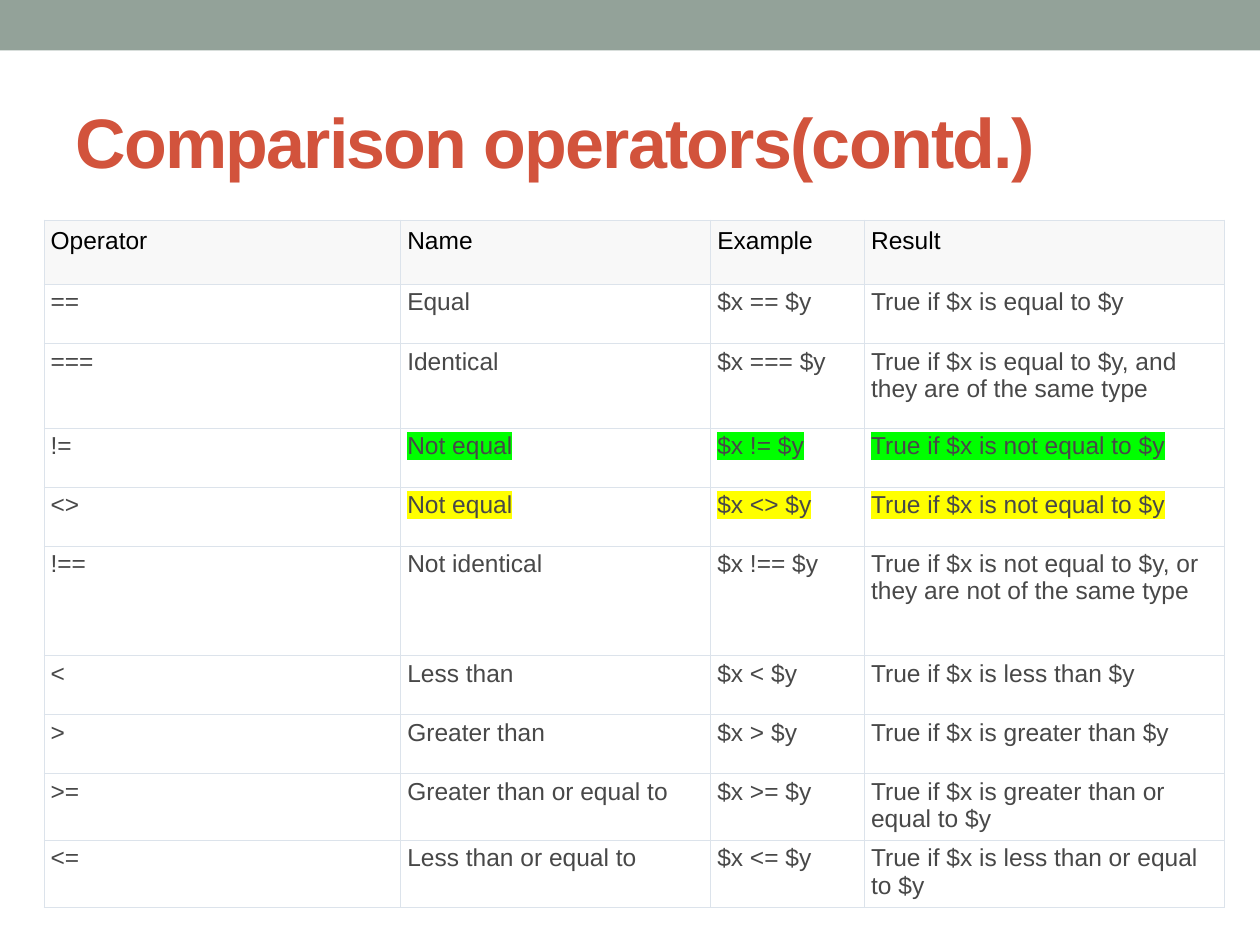
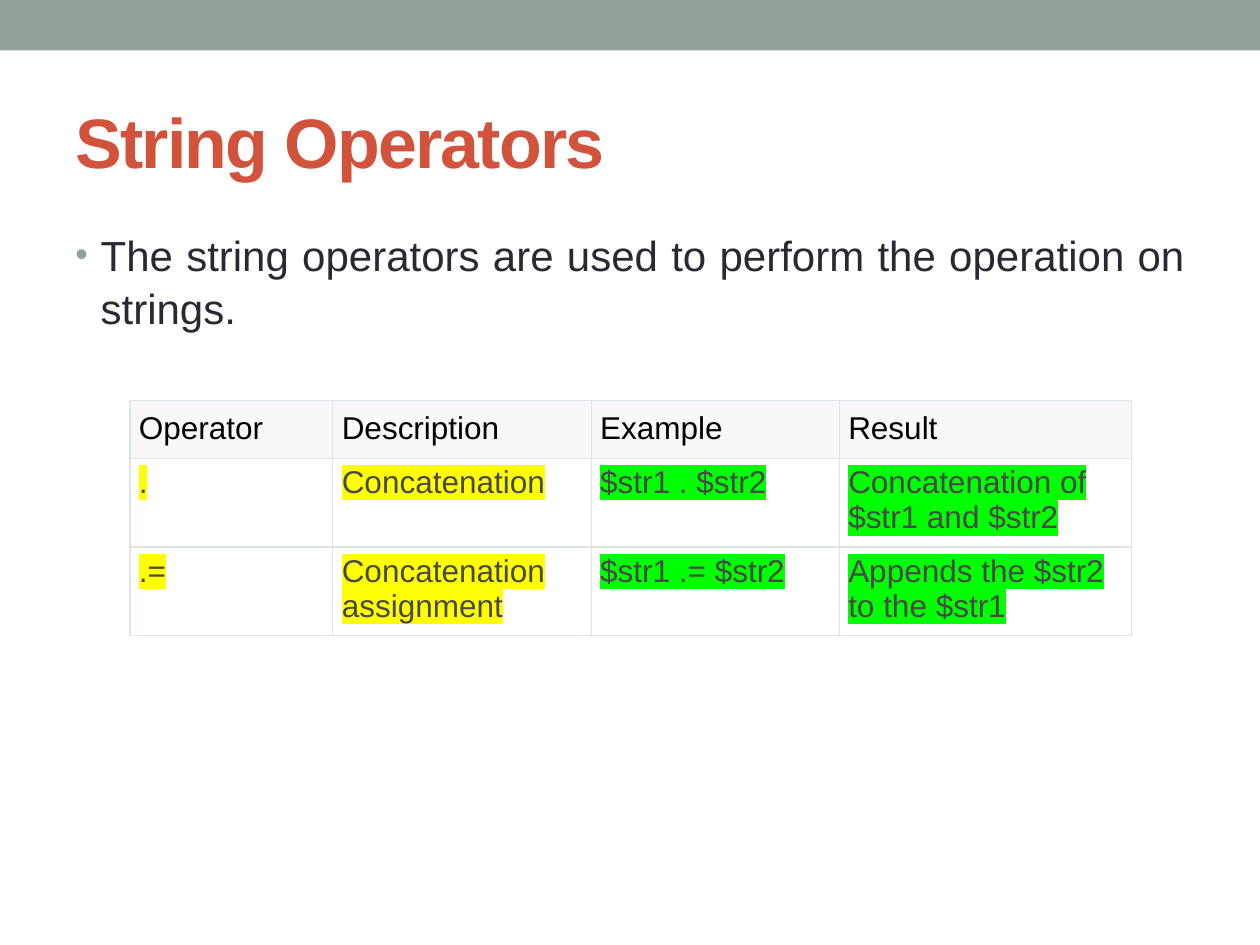
from lxml.etree import SubElement
from pptx import Presentation
from pptx.dml.color import RGBColor
from pptx.enum.shapes import MSO_SHAPE as Shape
from pptx.enum.text import MSO_ANCHOR as Anchor, PP_ALIGN as Align
from pptx.oxml import parse_xml
from pptx.oxml.ns import nsdecls, qn
from pptx.util import Cm, Pt

FONT = "Arial"
SAGE = RGBColor(0x93, 0xA2, 0x99)
RUST = RGBColor(0xD2, 0x53, 0x3C)
INK = RGBColor(0x29, 0x29, 0x34)
BLACK = RGBColor(0x00, 0x00, 0x00)
GREY = RGBColor(0x48, 0x48, 0x48)
WHITE = RGBColor(0xFF, 0xFF, 0xFF)
HEADER_FILL = RGBColor(0xF8, 0xF8, 0xF8)
BORDER = RGBColor(0xDC, 0xE3, 0xEB)
GREEN = RGBColor(0x00, 0xFF, 0x00)
YELLOW = RGBColor(0xFF, 0xFF, 0x00)


def write(frame, text, size, color, bold=False, spacing=None, highlight=None,
          align=None, line_spacing=None):
    """Put formatted text in the first paragraph of a frame and return it."""
    paragraph = frame.paragraphs[0]
    paragraph.alignment = align
    paragraph.line_spacing = line_spacing
    run = paragraph.add_run()
    run.text = text
    run.font.name, run.font.size, run.font.bold = FONT, Pt(size), bold
    run.font.color.rgb = color
    properties = run.font._element
    if spacing is not None:
        properties.set("spc", str(round(spacing * 100)))
    if highlight is not None:
        properties.find(qn("a:solidFill")).addnext(parse_xml(
            f'<a:highlight {nsdecls("a")}><a:srgbClr val="{highlight}"/></a:highlight>'))
    return paragraph


def add_bullet(paragraph, indent, color, percent):
    """Give a paragraph a hanging round bullet."""
    properties = paragraph._p.get_or_add_pPr()
    properties.set("marL", str(indent))
    properties.set("indent", str(-indent))
    bullet_color = SubElement(properties, qn("a:buClr"))
    SubElement(bullet_color, qn("a:srgbClr"), val=str(color))
    SubElement(properties, qn("a:buSzPct"), val=str(percent * 1000))
    SubElement(properties, qn("a:buFont"), typeface=FONT)
    SubElement(properties, qn("a:buChar"), char="•")


def add_borders(cell, color, width):
    """Draw the four borders of a table cell; call before filling it."""
    properties = cell._tc.get_or_add_tcPr()
    for side in ("lnL", "lnR", "lnT", "lnB"):
        line = SubElement(properties, qn(f"a:{side}"), w=str(Pt(width)))
        fill = SubElement(line, qn("a:solidFill"))
        SubElement(fill, qn("a:srgbClr"), val=str(color))


class Deck:
    """Holds the shared style and the current slide."""

    def __init__(self):
        """Start an empty 4:3 presentation."""
        self.presentation = Presentation()
        self.presentation.slide_width = Cm(25.4)
        self.presentation.slide_height = Cm(19.05)
        self.slide = None

    def add_slide(self, title):
        """Start a slide with the top band and its title."""
        self.slide = self.presentation.slides.add_slide(
            self.presentation.slide_layouts[6])
        self.add_band()
        frame = self.add_box(1.27, 1.47, 22.86, 2.74, Anchor.MIDDLE)
        write(frame, title, 40, RUST, bold=True, spacing=-1)

    def add_band(self):
        """Draw the band along the top edge."""
        band = self.slide.shapes.add_shape(
            Shape.RECTANGLE, 0, 0, self.presentation.slide_width, Cm(1.02))
        band.shadow.inherit = False
        band.fill.solid()
        band.fill.fore_color.rgb = SAGE
        band.line.fill.background()

    def add_box(self, left, top, width, height, anchor=Anchor.TOP):
        """Add a wrapping text box and return its text frame."""
        box = self.slide.shapes.add_textbox(Cm(left), Cm(top), Cm(width), Cm(height))
        frame = box.text_frame
        frame.word_wrap = True
        frame.vertical_anchor = anchor
        return frame

    def add_body(self, text):
        """Add a justified, bulleted body text."""
        frame = self.add_box(1.27, 4.44, 22.86, 13.54)
        paragraph = write(frame, text, 24, INK, align=Align.JUSTIFY, line_spacing=1.06)
        add_bullet(paragraph, Cm(0.51), SAGE, 85)

    def add_table(self, left, top, widths, heights, rows, size, side_margin,
                  header_margin, row_margin, highlights):
        """Add a bordered table; highlights maps a row number to its cell colours."""
        table = self.slide.shapes.add_table(
            len(rows), len(widths), Cm(left), Cm(top),
            Cm(sum(widths)), Cm(sum(heights))).table
        table.first_row = table.horz_banding = False
        for column, width in zip(table.columns, widths):
            column.width = Cm(width)
        for number, (row, height, texts) in enumerate(zip(table.rows, heights, rows)):
            row.height = Cm(height)
            header = number == 0
            marks = highlights.get(number, [None] * len(widths))
            for cell, text, mark in zip(row.cells, texts, marks):
                add_borders(cell, BORDER, 0.75)
                cell.fill.solid()
                cell.fill.fore_color.rgb = HEADER_FILL if header else WHITE
                cell.margin_left = cell.margin_right = Cm(side_margin)
                cell.margin_top = cell.margin_bottom = Cm(
                    header_margin if header else row_margin)
                write(cell.text_frame, text, size, BLACK if header else GREY,
                      highlight=mark)


COMPARISONS = [
    ("==", "Equal", "equal to $y"),
    ("===", "Identical", "equal to $y, and they are of the same type"),
    ("!=", "Not equal", "not equal to $y"),
    ("<>", "Not equal", "not equal to $y"),
    ("!==", "Not identical", "not equal to $y, or they are not of the same type"),
    ("<", "Less than", "less than $y"),
    (">", "Greater than", "greater than $y"),
    (">=", "Greater than or equal to", "greater than or equal to $y"),
    ("<=", "Less than or equal to", "less than or equal to $y"),
]
STRING_ROWS = [
    ("Operator", "Description", "Example", "Result"),
    (".", "Concatenation", "$str1 . $str2", "Concatenation of $str1 and $str2"),
    (".=", "Concatenation assignment", "$str1 .= $str2", "Appends the $str2 to the $str1"),
]


def add_comparison_slide(deck):
    """Build the slide of comparison operators."""
    deck.add_slide("Comparison operators(contd.)")
    rows = [("Operator", "Name", "Example", "Result")]
    rows += [(sign, name, f"$x {sign} $y", f"True if $x is {result}")
             for sign, name, result in COMPARISONS]
    deck.add_table(
        0.89, 4.44, widths=[7.19, 6.25, 3.1, 7.26],
        heights=[1.3, 1.19, 1.7, 1.19, 1.19, 2.21, 1.19, 1.19, 1.3, 1.3],
        rows=rows, size=14, side_margin=0.13, header_margin=0.15, row_margin=0.08,
        highlights={3: [None] + [GREEN] * 3, 4: [None] + [YELLOW] * 3})


def add_string_slide(deck):
    """Build the slide of string operators."""
    deck.add_slide("String Operators")
    deck.add_body("The string operators are used to perform the operation on strings.")
    marks = [YELLOW, YELLOW, GREEN, GREEN]
    deck.add_table(
        2.62, 8.08, widths=[4.09, 5.21, 5, 5.89], heights=[1.12, 1.69, 1.69],
        rows=STRING_ROWS, size=18, side_margin=0.18, header_margin=0.2,
        row_margin=0.13, highlights={1: marks, 2: marks})


deck = Deck()
add_comparison_slide(deck)
add_string_slide(deck)
deck.presentation.save("out.pptx")
